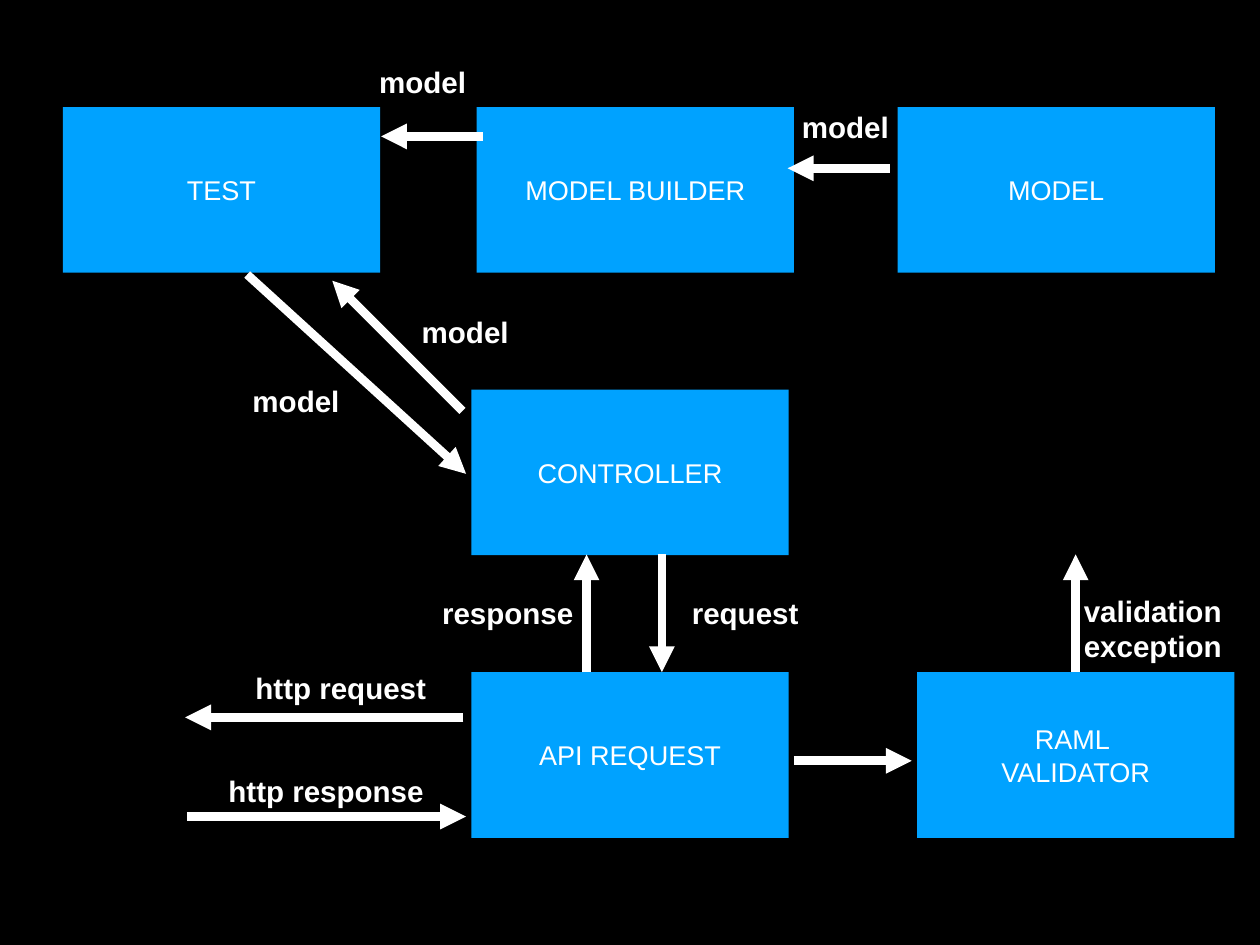
from pptx import Presentation
from pptx.dml.color import RGBColor
from pptx.enum.shapes import MSO_CONNECTOR, MSO_SHAPE
from pptx.enum.text import MSO_ANCHOR, MSO_AUTO_SIZE, PP_ALIGN
from pptx.oxml.ns import qn
from pptx.util import Inches, Pt
from lxml.etree import SubElement

BLACK, WHITE, BLUE = "000000", "FFFFFF", "00A2FF"
BOX_SIZE = 3.58, 1.87
TOP_ROW, MID_ROW, LOW_ROW = 1.21, 4.4, 7.59

BOXES = [
    ("TEST", 0.71, TOP_ROW),
    ("MODEL BUILDER", 5.38, TOP_ROW),
    ("MODEL", 10.13, TOP_ROW),
    ("CONTROLLER", 5.32, MID_ROW),
    ("API REQUEST", 5.32, LOW_ROW),
    ("RAML \nVALIDATOR", 10.35, LOW_ROW),
]

ARROWS = [
    ((2.79, 3.1), (5.26, 5.35)),
    ((10.04, 1.9), (8.89, 1.9)),
    ((5.45, 1.54), (4.3, 1.54)),
    ((5.22, 4.64), (3.75, 3.17)),
    ((8.96, 8.59), (10.29, 8.59)),
    ((12.14, 7.59), (12.14, 6.26)),
    ((5.23, 8.1), (2.09, 8.1)),
    ((6.62, 7.59), (6.62, 6.26)),
    ((7.47, 6.26), (7.47, 7.59)),
    ((2.11, 9.22), (5.26, 9.22)),
]

LABELS = [
    ("response", 4.88, 6.67, 1.7, 0.5),
    ("request", 7.71, 6.67, 1.4, 0.5),
    ("validation\nexception", 12.11, 6.64, 1.8, 0.91),
    ("http request", 2.77, 7.52, 2.15, 0.5),
    ("http response", 2.48, 8.68, 2.4, 0.5),
    ("model", 4.65, 3.49, 1.2, 0.5),
    ("model", 2.74, 4.28, 1.2, 0.5),
    ("model", 4.11, 0.67, 1.32, 0.5),
    ("model", 8.88, 1.18, 1.32, 0.5),
]


def paint(target, color):
    """Give a fill one solid colour."""
    target.solid()
    target.fore_color.rgb = RGBColor.from_string(color)


def write(shape, text, size=22, bold=False, color=WHITE, wrap=True):
    """Put centred text into a shape, one paragraph per line."""
    frame = shape.text_frame
    frame.word_wrap = wrap
    frame.vertical_anchor = MSO_ANCHOR.MIDDLE
    frame.margin_left = frame.margin_right = Inches(0.06)
    frame.margin_top = frame.margin_bottom = Inches(0.06)
    frame.text = text
    for line in frame.paragraphs:
        line.alignment = PP_ALIGN.CENTER
        font = line.runs[0].font
        font.name, font.size, font.bold = "Arial", Pt(size), bold
        paint(font.fill, color)


def add_box(slide, text, left, top):
    """Draw one blue component box."""
    place = map(Inches, (left, top, *BOX_SIZE))
    box = slide.shapes.add_shape(MSO_SHAPE.RECTANGLE, *place)
    box.shadow.inherit = False
    paint(box.fill, BLUE)
    box.line.fill.background()
    write(box, text)


def add_arrow(slide, start, end):
    """Draw a thick white arrow from start to end."""
    ends = map(Inches, (*start, *end))
    arrow = slide.shapes.add_connector(MSO_CONNECTOR.STRAIGHT, *ends)
    arrow.line.width = Pt(7)
    paint(arrow.line.fill, WHITE)
    SubElement(arrow.line._get_or_add_ln(), qn("a:tailEnd"), type="triangle")
    SubElement(arrow._element.spPr, qn("a:effectLst"))


def add_label(slide, text, *place):
    """Add a bold label beside an arrow."""
    label = slide.shapes.add_textbox(*map(Inches, place))
    write(label, text, size=24, bold=True, wrap=False)
    label.text_frame.auto_size = MSO_AUTO_SIZE.SHAPE_TO_FIT_TEXT


def main():
    """Build the component diagram and save it."""
    deck = Presentation()
    deck.slide_width, deck.slide_height = Inches(14.22), Inches(10.67)
    slide = deck.slides.add_slide(deck.slide_layouts[6])
    paint(slide.background.fill, BLACK)
    for box in BOXES:
        add_box(slide, *box)
    for arrow in ARROWS:
        add_arrow(slide, *arrow)
    for label in LABELS:
        add_label(slide, *label)
    deck.save("out.pptx")


if __name__ == "__main__":
    main()
